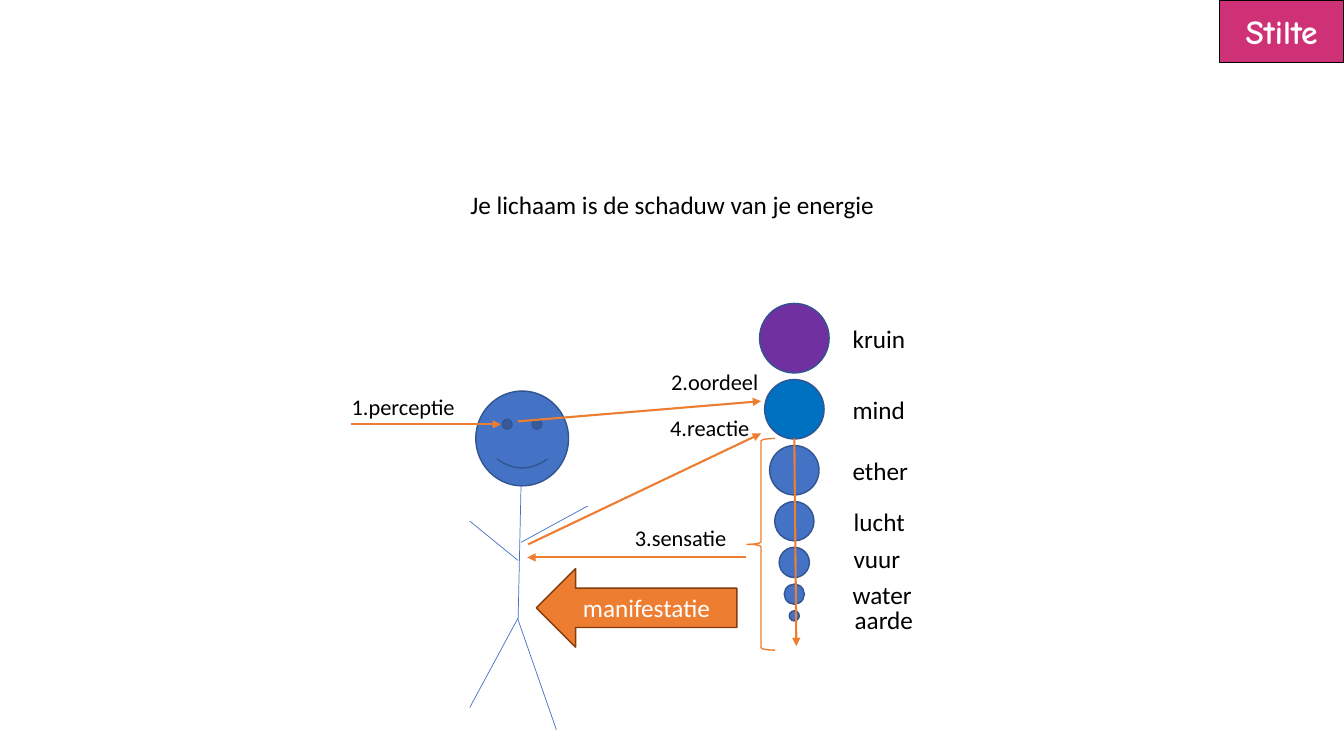
import pptx
import pptx.util
import pptx.dml.color
import pptx.enum.shapes
import pptx.enum.text
import pptx.oxml.ns
import lxml.etree
from dataclasses import dataclass

KIND = pptx.enum.shapes.MSO_SHAPE
ALIGN = pptx.enum.text.PP_ALIGN
A_NS = pptx.oxml.ns.nsuri("a")


@dataclass(frozen=True)
class Theme:
    font: str = "Calibri"
    tag_font: str = "Comic Neue"
    black: str = "000000"
    white: str = "FFFFFF"
    pink: str = "CE3175"
    blue: str = "4472C4"
    rim: str = "325491"
    purple: str = "7030A0"
    mind: str = "0070C0"
    orange: str = "ED7D31"
    brown: str = "843C0B"
    small: int = 16
    body: int = 18
    large: int = 24
    hair: float = 0.5
    thin: float = 1
    bold: float = 1.5


T = Theme()

# The grid has ten columns and ten rows to the inch.
CELL = pptx.util.Inches(0.1)
COLS, ROWS = 133.33, 75

TITLE = ("Je lichaam is de schaduw van je energie", (45.4, 18.3, 42.6, 4))
TAG = ("Stilte", (121, 0, 12.3, 6.2))
HEAD = (47.2, 38.8, 9.2, 9.4)
LIMBS = [
    ((51.7, 47.8), (51.4, 61.5)),
    ((51.4, 55.6), (46.6, 51.7)),
    ((51.7, 53.8), (58.3, 50.2)),
    ((51.4, 61.3), (46.6, 70.2)),
    ((51.4, 61.5), (55.2, 72.4)),
]
# Name, diameter, fill, label width, label nudge
LEVELS = [
    ("kruin", 6.9, T.purple, 7.3, (0, 0)),
    ("mind", 5.9, T.mind, 7.3, (0, 0)),
    ("ether", 4.9, T.blue, 7.6, (0, 0)),
    ("lucht", 3.9, T.blue, 7.2, (0.1, 0)),
    ("vuur", 3, T.blue, 6.7, (0.1, -0.4)),
    ("water", 2, T.blue, 7.9, (0, 0)),
    ("aarde", 1, T.blue, 7.9, (0.2, 0.4)),
]
AXIS, TOP, GAP = 78.8, 30.1, 0.65
NAME_X, NAME_H = 83.6, 4
STEPS = [
    ("1.perceptie", (33.9, 38.5, 12.4, 3.7)),
    ("2.oordeel", (65.6, 36, 10.8, 3.7)),
    ("3.sensatie", (62, 51.5, 11.2, 3.7)),
    ("4.reactie", (65.5, 40.6, 10, 3.7)),
]
ARROWS = [
    ((34.8, 42.1), (49.7, 42.1)),
    ((51.4, 41.8), (75.5, 39.8)),
    ((78.8, 43.5), (79, 64.1)),
    ((74, 55.3), (52.3, 55.3)),
    ((52.4, 54), (75.5, 43)),
]
BRACE = (74.1, 43.5, 2.8, 21)
RESULT = ("manifestatie", (53.2, 56.4, 19.9, 7.8))


def grid(cells):
    return [round(c * CELL) for c in cells]


def tint(code):
    return pptx.dml.color.RGBColor.from_string(code)


def write(frame, text, size=T.body, font=T.font, color=T.black,
          bold=False, align=ALIGN.LEFT):
    par = frame.paragraphs[0]
    par.alignment = align
    run = par.add_run()
    run.text = text
    run.font.size = pptx.util.Pt(size)
    run.font.name = font
    run.font.bold = bold
    run.font.color.rgb = tint(color)


def label(slide, text, box, **style):
    frame = slide.shapes.add_textbox(*grid(box)).text_frame
    frame.word_wrap = False
    frame.auto_size = pptx.enum.text.MSO_AUTO_SIZE.SHAPE_TO_FIT_TEXT
    write(frame, text, **style)


def shape(slide, kind, box, fill=None, edge=T.rim):
    item = slide.shapes.add_shape(kind, *grid(box))
    item.shadow.inherit = False
    if fill:
        item.fill.solid()
        item.fill.fore_color.rgb = tint(fill)
    else:
        item.fill.background()
    item.line.color.rgb = tint(edge)
    item.line.width = pptx.util.Pt(T.thin)
    return item


def block(slide, kind, text, box, fill, edge, **style):
    """Add a filled shape with white text in its middle."""
    frame = shape(slide, kind, box, fill, edge).text_frame
    frame.word_wrap = True
    frame.vertical_anchor = pptx.enum.text.MSO_ANCHOR.MIDDLE
    write(frame, text, color=T.white, align=ALIGN.CENTER, **style)


def line(slide, start, end, color, width, tip=False):
    item = slide.shapes.add_connector(
        pptx.enum.shapes.MSO_CONNECTOR.STRAIGHT, *grid(start + end))
    item.line.color.rgb = tint(color)
    item.line.width = pptx.util.Pt(width)
    if tip:
        lxml.etree.SubElement(item.line._get_or_add_ln(),
                              f"{{{A_NS}}}tailEnd", type="triangle")
    lxml.etree.SubElement(item._element.spPr, f"{{{A_NS}}}effectLst")


def person(slide):
    for start, end in LIMBS:
        line(slide, start, end, T.blue, T.hair)
    shape(slide, KIND.SMILEY_FACE, HEAD, T.blue)


def levels(slide):
    """Stack the circles on one axis, each with its name beside it."""
    y = TOP
    for name, size, fill, wide, (dx, dy) in LEVELS:
        shape(slide, KIND.OVAL, (AXIS - size / 2, y, size, size), fill)
        mid = y + size / 2
        label(slide, name,
              (NAME_X + dx, mid - NAME_H / 2 + dy, wide, NAME_H))
        y += size + GAP


def main():
    deck = pptx.Presentation()
    deck.slide_width, deck.slide_height = grid((COLS, ROWS))
    slide = deck.slides.add_slide(deck.slide_layouts[6])
    label(slide, *TITLE, align=ALIGN.CENTER)
    block(slide, KIND.RECTANGLE, *TAG, T.pink, T.black,
          size=T.large, font=T.tag_font, bold=True)
    person(slide)
    levels(slide)
    for start, end in ARROWS:
        line(slide, start, end, T.orange, T.bold, tip=True)
    shape(slide, KIND.LEFT_BRACE, BRACE, edge=T.orange)
    for text, box in STEPS:
        label(slide, text, box, size=T.small)
    block(slide, KIND.LEFT_ARROW, *RESULT, T.orange, T.brown)
    deck.save("out.pptx")


if __name__ == "__main__":
    main()
